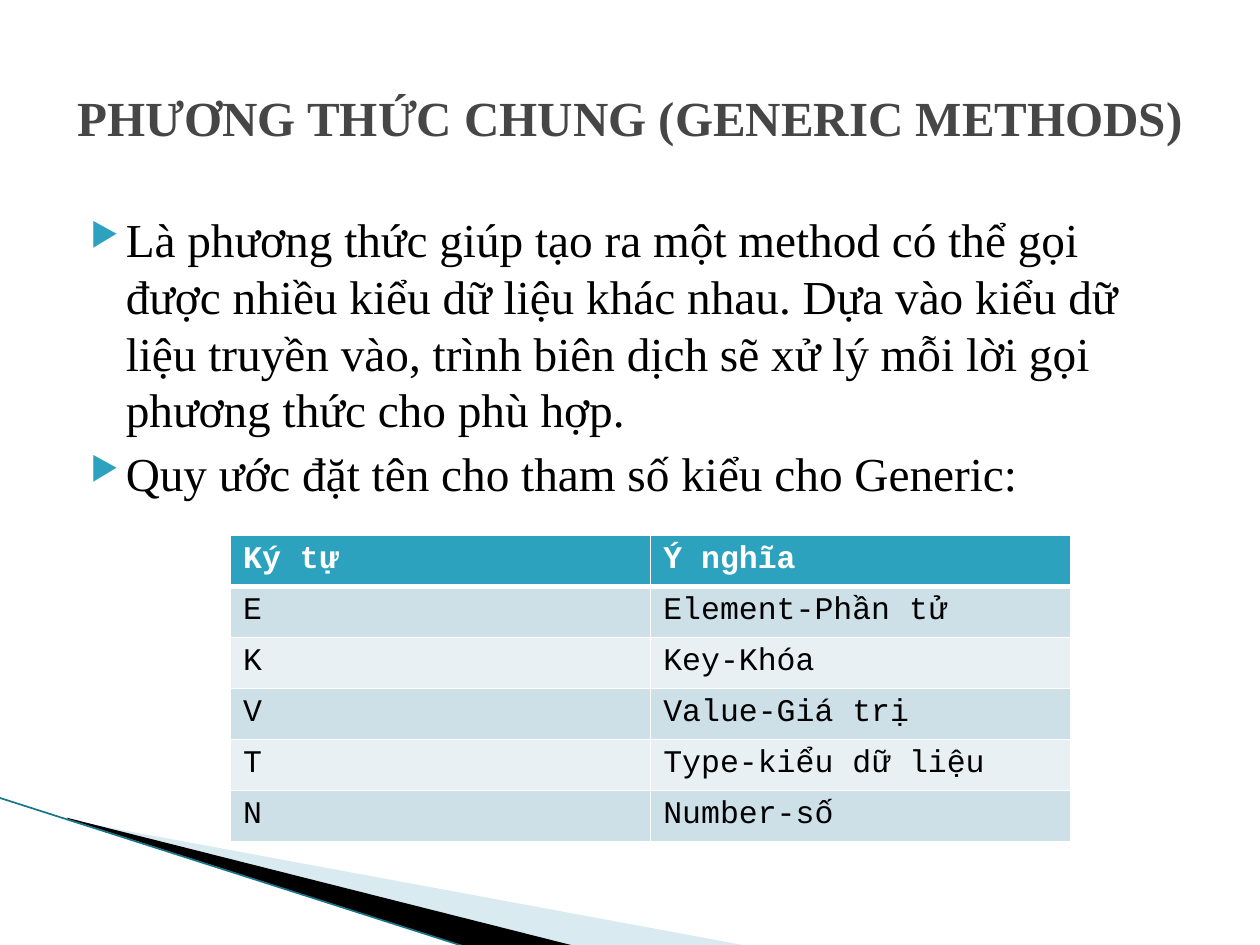
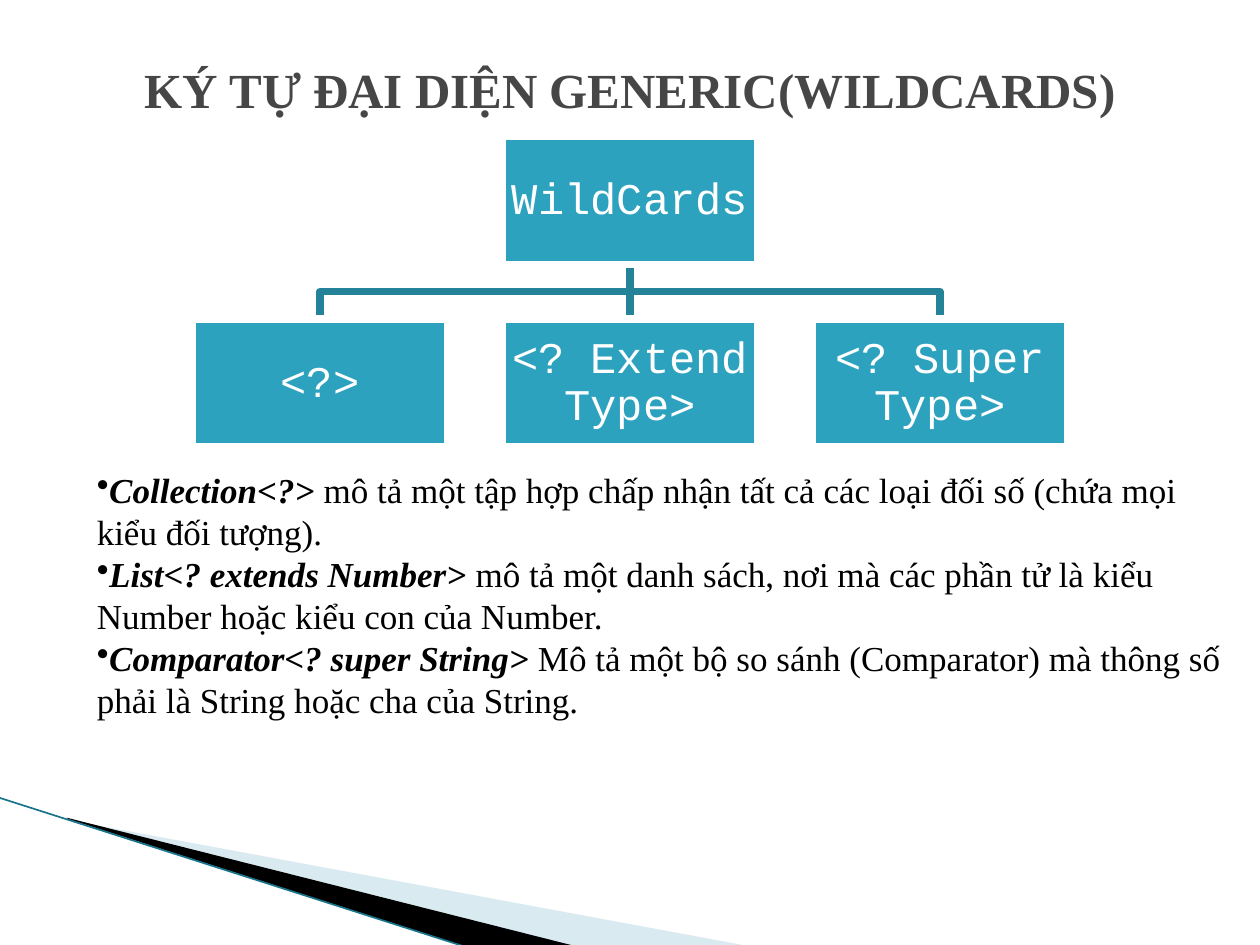
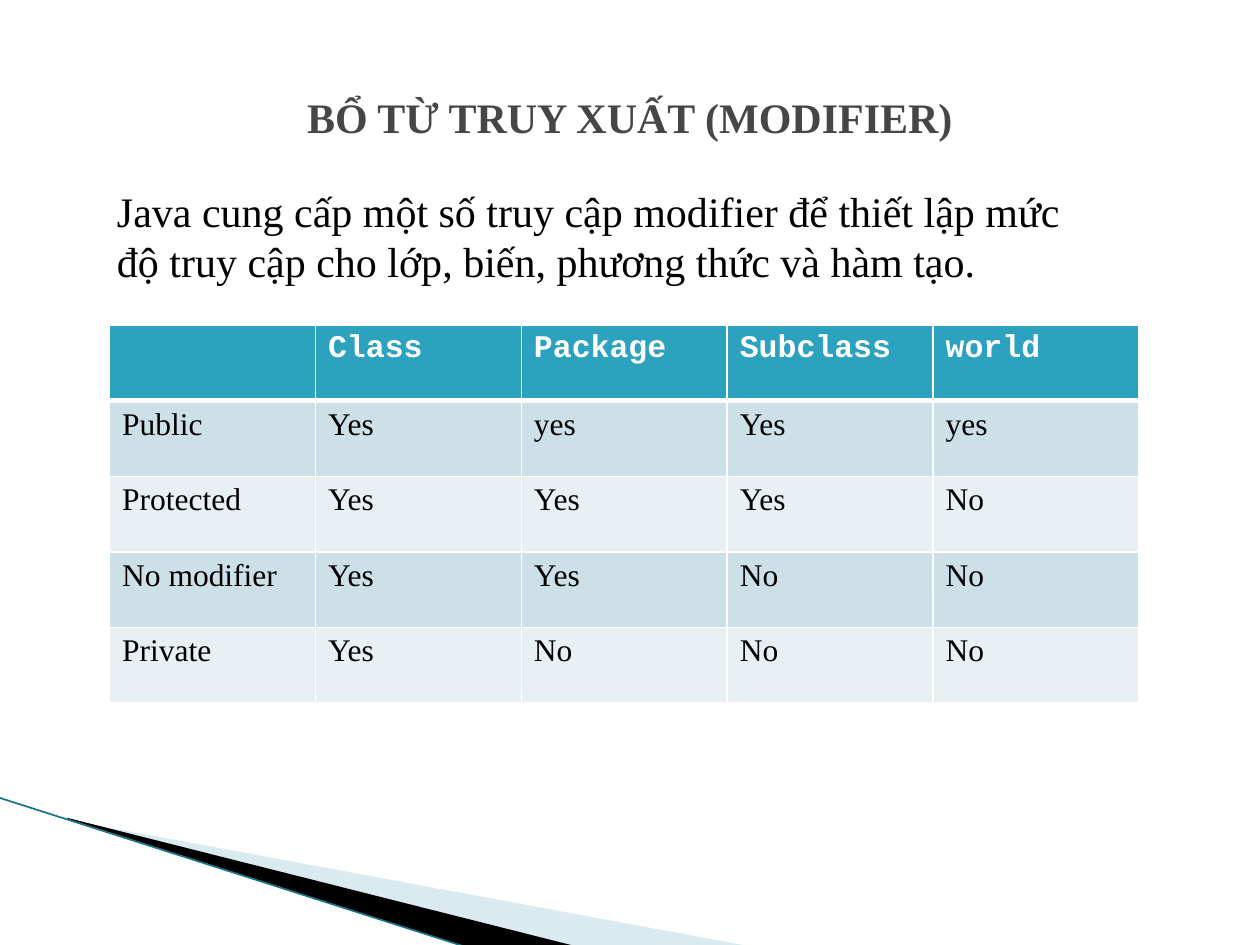
from lxml import etree
from pptx import Presentation
from pptx import util as u
from pptx.dml.color import RGBColor
from pptx.enum import shapes, text
from pptx.oxml.ns import qn

COLORS = {
    "accent": "2DA2BF", "branch": "248299", "title": "464646",
    "black": "000000", "white": "FFFFFF", "odd_row": "CDE0E8",
    "even_row": "E8F0F4", "wedge": "A0CBDC", "edge": "17748A",
}
SERIF, MONO = "Times New Roman", "Courier New"
TITLE = {"name": SERIF, "size": u.Pt(28), "bold": True, "color": "title"}
BODY = {"name": SERIF, "size": u.Pt(20), "bold": False, "color": "black"}
HEADER = {"name": MONO, "size": u.Pt(18), "bold": True, "color": "white"}
CELL = {"name": SERIF, "size": u.Pt(18), "bold": False, "color": "black"}
NODE = {"name": MONO, "size": u.Pt(25), "bold": False, "color": "white"}
NODE_W, NODE_H = 2.03, 1.02


def rgb(color):
    """Return the named colour."""
    return RGBColor.from_string(COLORS[color])


def add_run(paragraph, words, style):
    """Add a run and give its font the values of the style."""
    run = paragraph.add_run()
    run.text = words
    for key, value in style.items():
        if key == "color":
            run.font.color.rgb = rgb(value)
        else:
            setattr(run.font, key, value)


def add_bullet(paragraph, mark, color=None, percent=None):
    """Put a bullet character before a paragraph."""
    properties = paragraph._p.get_or_add_pPr()
    if color:
        holder = etree.SubElement(properties, qn("a:buClr"))
        etree.SubElement(holder, qn("a:srgbClr"), val=COLORS[color])
    if percent:
        etree.SubElement(properties, qn("a:buSzPct"), val=str(percent * 1000))
    etree.SubElement(properties, qn("a:buChar"), char=mark)


def add_text(slide, box, paragraphs, **frame_format):
    """Add a wrapped text box; each paragraph is a list of (words, style)."""
    frame = slide.shapes.add_textbox(*map(u.Inches, box)).text_frame
    for key, value in {"word_wrap": True, **frame_format}.items():
        setattr(frame, key, value)
    for index, runs in enumerate(paragraphs):
        paragraph = frame.paragraphs[0] if index == 0 else frame.add_paragraph()
        for words, style in runs:
            add_run(paragraph, words, style)
    return frame


def add_title(slide, words, top=0.3, size=28):
    """Add the centred slide title."""
    style = {**TITLE, "size": u.Pt(size)}
    frame = add_text(slide, (0.5, top, 9, 1.25), [[(words, style)]],
                     vertical_anchor=text.MSO_ANCHOR.MIDDLE)
    frame.paragraphs[0].alignment = text.PP_ALIGN.CENTER


def add_outline(slide, points, closed=True):
    """Draw a freeform through points given in inches."""
    start, *rest = [tuple(map(u.Inches, point)) for point in points]
    builder = slide.shapes.build_freeform(*start)
    builder.add_line_segments(rest, close=closed)
    outline = builder.convert_to_shape()
    outline.shadow.inherit = False
    return outline


def add_wedge(slide, points, color, opacity=100):
    """Draw a filled wedge without a line."""
    wedge = add_outline(slide, points)
    wedge.fill.solid()
    wedge.fill.fore_color.rgb = rgb(color)
    wedge.line.fill.background()
    if opacity < 100:
        tint = wedge._element.spPr.find(".//" + qn("a:srgbClr"))
        etree.SubElement(tint, qn("a:alpha"), val=str(opacity * 1000))


def add_line(slide, start, end, color, width):
    """Draw a straight line without a shadow."""
    line = slide.shapes.add_connector(
        shapes.MSO_CONNECTOR.STRAIGHT, *map(u.Inches, start + end))
    line.line.color.rgb = rgb(color)
    line.line.width = u.Pt(width)
    etree.SubElement(line._element.spPr, qn("a:effectLst"))


def add_slide(deck):
    """Add a blank slide with the wedges in its lower left corner."""
    slide = deck.slides.add_slide(deck.slide_layouts[6])
    add_wedge(slide, [(0.55, 6.51), (5.95, 7.51), (4.56, 7.51), (0.55, 6.5)],
              "wedge", 40)
    add_wedge(slide, [(0.53, 6.49), (4.57, 7.51), (3.72, 7.52), (0.54, 6.5)],
              "black")
    add_line(slide, (-0.01, 6.33), (3.71, 7.52), "edge", 0.95)
    return slide


def set_borders(cell, widths):
    """Give a cell white borders, widths in points by side."""
    properties = cell._tc.get_or_add_tcPr()
    for index, side in enumerate("LRTB"):
        border = etree.Element(qn("a:ln" + side), w=str(u.Pt(widths[side])))
        fill = etree.SubElement(border, qn("a:solidFill"))
        etree.SubElement(fill, qn("a:srgbClr"), val=COLORS["white"])
        properties.insert(index, border)


def add_grid(slide, box, rows, font):
    """Add a table with a header row and banded rows."""
    table = slide.shapes.add_table(
        len(rows), len(rows[0]), *map(u.Inches, box)).table
    for r, row in enumerate(rows):
        fill = ("even_row", "odd_row")[r % 2] if r else "accent"
        style = {**CELL, "name": font} if r else HEADER
        widths = {"L": 1, "R": 1, "T": 3 if r == 1 else 1,
                  "B": 1 if r else 3}
        for c, words in enumerate(row):
            cell = table.cell(r, c)
            cell.fill.solid()
            cell.fill.fore_color.rgb = rgb(fill)
            set_borders(cell, widths)
            if words:
                add_run(cell.text_frame.paragraphs[0], words, style)


def add_node(slide, center, top, words):
    """Add one box of the tree."""
    node = slide.shapes.add_shape(
        shapes.MSO_SHAPE.RECTANGLE, u.Inches(center - NODE_W / 2),
        u.Inches(top), u.Inches(NODE_W), u.Inches(NODE_H))
    node.shadow.inherit = False
    node.fill.solid()
    node.fill.fore_color.rgb = rgb("accent")
    node.line.color.rgb = rgb("white")
    node.line.width = u.Pt(4.33)
    frame = node.text_frame
    frame.word_wrap = True
    frame.vertical_anchor = text.MSO_ANCHOR.MIDDLE
    for side in ("left", "right", "top", "bottom"):
        setattr(frame, "margin_" + side, u.Inches(0.02))
    paragraph = frame.paragraphs[0]
    paragraph.alignment = text.PP_ALIGN.CENTER
    paragraph.line_spacing = 0.9
    add_run(paragraph, words, NODE)


def add_tree(slide, root, children):
    """Add a root box joined to a row of child boxes."""
    middle, root_top, child_top, step = 5, 1.08, 2.53, 2.46
    root_bottom = root_top + NODE_H
    fork = (root_bottom + child_top) / 2
    centers = [middle + (i - (len(children) - 1) / 2) * step
               for i in range(len(children))]
    for center in centers:
        if center == middle:
            add_line(slide, (middle, root_bottom), (middle, child_top),
                     "branch", 4.33)
            continue
        branch = add_outline(slide, [(middle, root_bottom), (middle, fork),
                                     (center, fork), (center, child_top)],
                             closed=False)
        branch.fill.background()
        branch.line.color.rgb = rgb("branch")
        branch.line.width = u.Pt(4.33)
    add_node(slide, middle, root_top, root)
    for center, words in zip(centers, children):
        add_node(slide, center, child_top, words)


def generic_methods(deck):
    """Build the slide on generic methods."""
    slide = add_slide(deck)
    style = {**BODY, "size": u.Pt(27)}
    points = [
        "Là phương thức giúp tạo ra một method có thể gọi được nhiều kiểu dữ "
        "liệu khác nhau. Dựa vào kiểu dữ liệu truyền vào, trình biên dịch sẽ "
        "xử lý mỗi lời gọi phương thức cho phù hợp.",
        "Quy ước đặt tên cho tham số kiểu cho Generic:",
    ]
    frame = add_text(slide, (0.5, 1.62, 9, 4.95),
                     [[(point, style)] for point in points])
    for paragraph in frame.paragraphs:
        paragraph.space_before = u.Pt(4)
        properties = paragraph._p.get_or_add_pPr()
        properties.set("marL", str(u.Inches(0.4)))
        properties.set("indent", str(u.Inches(-0.28)))
        add_bullet(paragraph, "▶", "accent", 68)
    add_title(slide, "PHƯƠNG THỨC CHUNG (GENERIC METHODS)")
    add_grid(slide, (1.83, 4.25, 6.67, 2.43), [
        ("Ký tự", "Ý nghĩa"),
        ("E", "Element-Phần tử"),
        ("K", "Key-Khóa"),
        ("V", "Value-Giá trị"),
        ("T", "Type-kiểu dữ liệu"),
        ("N", "Number-số"),
    ], MONO)


def wildcards(deck):
    """Build the slide on wildcards."""
    slide = add_slide(deck)
    add_title(slide, "KÝ TỰ ĐẠI DIỆN GENERIC(WILDCARDS)", top=0.08)
    add_tree(slide, "WildCards", ["<?>", "<? Extend Type>", "<? Super Type>"])
    term_style = {**BODY, "bold": True, "italic": True}
    meanings = {
        "Collection<?>": "mô tả một tập hợp chấp nhận tất cả các loại đối số "
                         "(chứa mọi kiểu đối tượng).",
        "List<? extends Number>": "mô tả một danh sách, nơi mà các phần tử là "
                                  "kiểu Number hoặc kiểu con của Number.",
        "Comparator<? super String>": "Mô tả một bộ so sánh (Comparator) mà "
                                      "thông số phải là String hoặc cha của "
                                      "String.",
    }
    frame = add_text(slide, (0.67, 3.67, 9.17, 2.12),
                     [[(term, term_style), ("\u00a0" + meaning, BODY)]
                      for term, meaning in meanings.items()],
                     auto_size=text.MSO_AUTO_SIZE.SHAPE_TO_FIT_TEXT)
    for paragraph in frame.paragraphs:
        add_bullet(paragraph, "•")


def modifiers(deck):
    """Build the slide on access modifiers."""
    slide = add_slide(deck)
    add_grid(slide, (0.87, 2.58, 8.17, 3), [
        ("", "Class", "Package", "Subclass", "world"),
        ("Public", "Yes", "yes", "Yes", "yes"),
        ("Protected", "Yes", "Yes", "Yes", "No"),
        ("No modifier", "Yes", "Yes", "No", "No"),
        ("Private", "Yes", "No", "No", "No"),
    ], SERIF)
    add_title(slide, "BỔ TỪ TRUY XUẤT (MODIFIER)", size=24)
    intro = ("Java cung cấp một số truy cập modifier để thiết lập mức độ truy "
             "cập cho lớp, biến, phương thức và hàm tạo.")
    add_text(slide, (0.83, 1.42, 8, 0.91),
             [[(intro, {**BODY, "size": u.Pt(24)})]],
             auto_size=text.MSO_AUTO_SIZE.SHAPE_TO_FIT_TEXT)


def main():
    """Build and save the deck."""
    deck = Presentation()
    deck.slide_width, deck.slide_height = u.Inches(10), u.Inches(7.5)
    for build in (generic_methods, wildcards, modifiers):
        build(deck)
    deck.save("out.pptx")


main()
